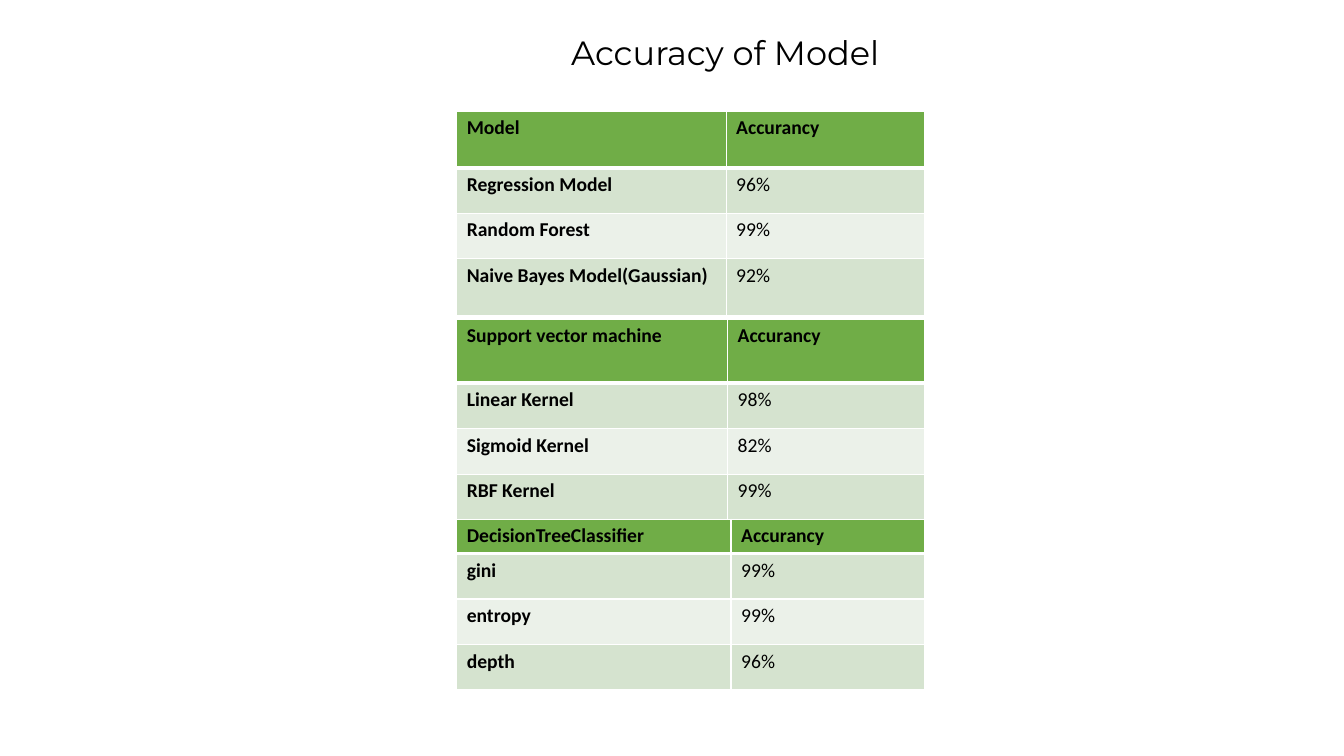
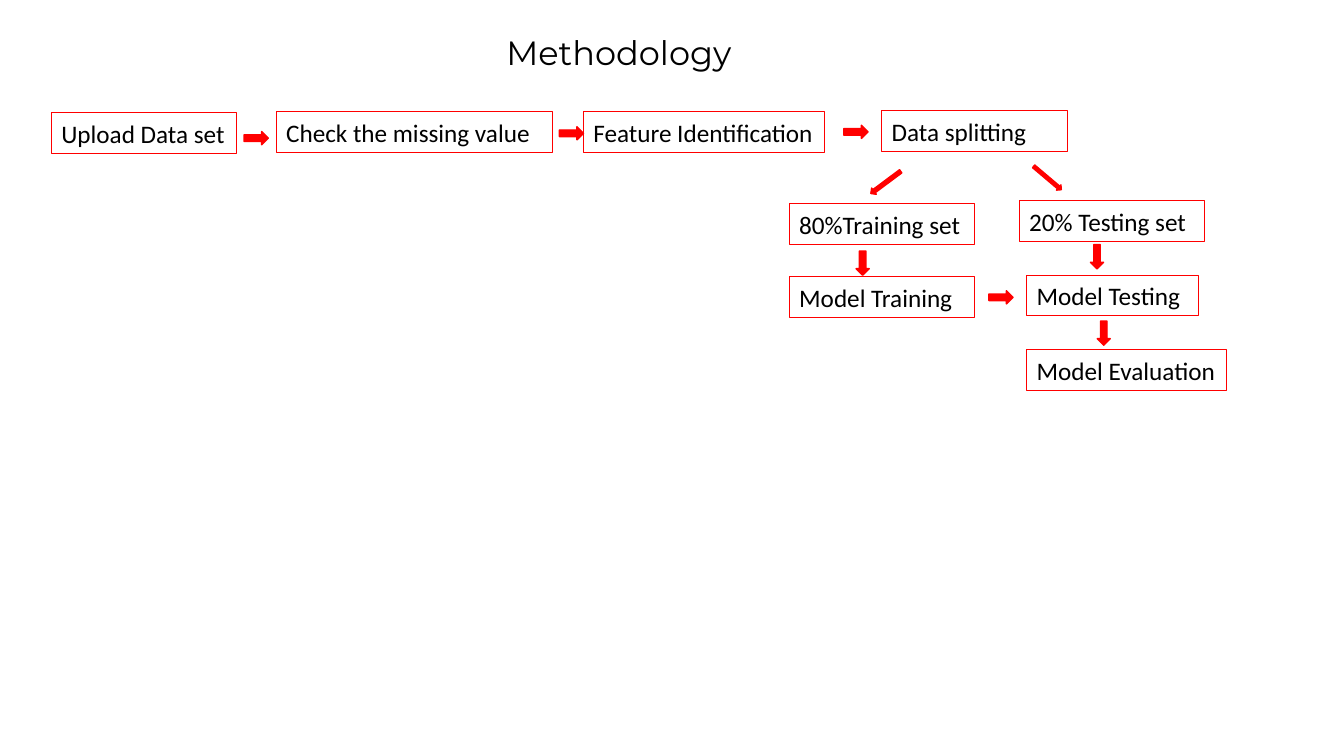
from lxml.etree import SubElement
from pptx import Presentation
from pptx.dml.color import RGBColor
from pptx.enum.shapes import MSO_SHAPE as Shape
from pptx.enum.text import MSO_AUTO_SIZE as AutoSize, PP_ALIGN as Align
from pptx.oxml.ns import qn
from pptx.util import Pt


def color(value):
    return RGBColor.from_string(value)


class SlideWriter:
    """Holds the shared style and the slide being filled."""

    BLACK, WHITE, RED = "000000", "FFFFFF", "FF0000"
    HEADER, BANDS = "70AD47", ("EBF1E9", "D5E3CF")
    TITLE_FONT, BODY_FONT = "Montserrat", "Calibri"
    BOX_HEIGHT = 29.1
    TABLE_LEFT, TABLE_WIDTH, ROW_HEIGHT = 326.2, 334.6, 32.5

    def __init__(self, deck):
        self.deck = deck
        self.slide = None

    def new_slide(self, title, width):
        self.slide = self.deck.slides.add_slide(self.deck.slide_layouts[6])
        box = self.slide.shapes.add_textbox(Pt(337), Pt(19.4), Pt(width), Pt(36))
        frame = box.text_frame
        frame.word_wrap = True
        frame.auto_size = AutoSize.SHAPE_TO_FIT_TEXT
        para = frame.paragraphs[0]
        para.alignment = Align.CENTER
        self.text(para, title, 24, self.TITLE_FONT)

    def text(self, para, words, size, font=BODY_FONT, bold=False):
        span = para.add_run()
        span.text = words
        span.font.size = Pt(size)
        span.font.name = font
        span.font.bold = bold
        span.font.color.rgb = color(self.BLACK)

    def box(self, words, left, top, width=132.5):
        box = self.slide.shapes.add_shape(
            Shape.RECTANGLE, Pt(left), Pt(top), Pt(width), Pt(self.BOX_HEIGHT))
        box.shadow.inherit = False
        box.fill.background()
        box.line.color.rgb = color(self.RED)
        box.line.width = Pt(0.75)
        frame = box.text_frame
        frame.word_wrap = True
        frame.auto_size = AutoSize.SHAPE_TO_FIT_TEXT
        para = frame.paragraphs[0]
        para.alignment = Align.LEFT
        self.text(para, words, 18)

    def arrow(self, center_x, center_y, angle=0, width=17.3, height=9.4):
        arrow = self.slide.shapes.add_shape(
            Shape.RIGHT_ARROW, Pt(center_x - width / 2),
            Pt(center_y - height / 2), Pt(width), Pt(height))
        arrow.shadow.inherit = False
        arrow.rotation = angle
        arrow.fill.solid()
        arrow.fill.fore_color.rgb = color(self.RED)
        arrow.line.color.rgb = color(self.RED)
        arrow.line.width = Pt(1)

    def border(self, cell, side, width):
        line = SubElement(cell._tc.get_or_add_tcPr(), qn("a:ln" + side), w=str(Pt(width)))
        fill = SubElement(line, qn("a:solidFill"))
        SubElement(fill, qn("a:srgbClr"), val=self.WHITE)

    def cell(self, cell, words, row, column):
        header = row == 0
        for side in "LRTB":
            thick = (header and side == "B") or (row == 1 and side == "T")
            self.border(cell, side, 3 if thick else 1)
        cell.fill.solid()
        cell.fill.fore_color.rgb = color(self.HEADER if header else self.BANDS[row % 2])
        para = cell.text_frame.paragraphs[0]
        para.space_before = Pt(6)
        self.text(para, words, 14, bold=header or column == 0)

    def table(self, top, first_width, header_height, rows, last_height=ROW_HEIGHT):
        heights = [header_height, self.ROW_HEIGHT, self.ROW_HEIGHT, last_height]
        table = self.slide.shapes.add_table(
            len(rows), 2, Pt(self.TABLE_LEFT), Pt(top),
            Pt(self.TABLE_WIDTH), Pt(sum(heights))).table
        table.first_row = table.horz_banding = False
        table.columns[0].width = Pt(first_width)
        table.columns[1].width = Pt(self.TABLE_WIDTH - first_width)
        for row, (values, height) in enumerate(zip(rows, heights)):
            table.rows[row].height = Pt(height)
            for column, words in enumerate(values):
                self.cell(table.cell(row, column), words, row, column)


def accuracy_slide(writer):
    writer.new_slide("Accuracy of Model", 362)
    writer.table(79.4, 192.5, 40.5, [
        ("Model", "Accurancy"),
        ("Regression Model", "96%"),
        ("Random Forest", "99%"),
        ("Naive Bayes Model(Gaussian)", "92%")], last_height=40.3)
    writer.table(227.8, 193.5, 45.9, [
        ("Support vector machine", "Accurancy"),
        ("Linear Kernel", "98%"),
        ("Sigmoid Kernel", "82%"),
        ("RBF Kernel", "99%")])
    writer.table(370.9, 196, 24.5, [
        ("DecisionTreeClassifier", "Accurancy"),
        ("gini", "99%"),
        ("entropy", "99%"),
        ("depth", "96%")])


def methodology_slide(writer):
    writer.new_slide("Methodology", 210)
    training_left, testing_left = 563.8, 733.4
    writer.box("Upload Data set", 36.7, 80.4)
    writer.box("Check the missing value", 197.3, 79.7, 197.5)
    writer.box("Feature Identification", 416.8, 79.7, 172.4)
    writer.box("Data splitting", 629.8, 79)
    writer.box("80%Training set", training_left, 145.4)
    writer.box("20% Testing set", 728, 143.3)
    writer.box("Model Training", training_left, 197.8)
    writer.box("Model Testing", testing_left, 196.6, 122.4)
    writer.box("Model Evaluation", testing_left, 249.7, 142.8)
    for center in [(183, 98.7), (408.2, 95.2), (611.4, 94.2), (715, 212.4)]:
        writer.arrow(*center)
    for center in [(616.2, 188), (783.6, 183.4), (788.4, 238)]:
        writer.arrow(*center, angle=90)
    writer.arrow(632.7, 130.3, 143.3, 26.6, 5.6)
    writer.arrow(748.2, 127.2, 40.2, 25.9, 5)


def main():
    deck = Presentation()
    deck.slide_width, deck.slide_height = Pt(960), Pt(540)
    writer = SlideWriter(deck)
    accuracy_slide(writer)
    methodology_slide(writer)
    deck.save("out.pptx")


if __name__ == "__main__":
    main()
